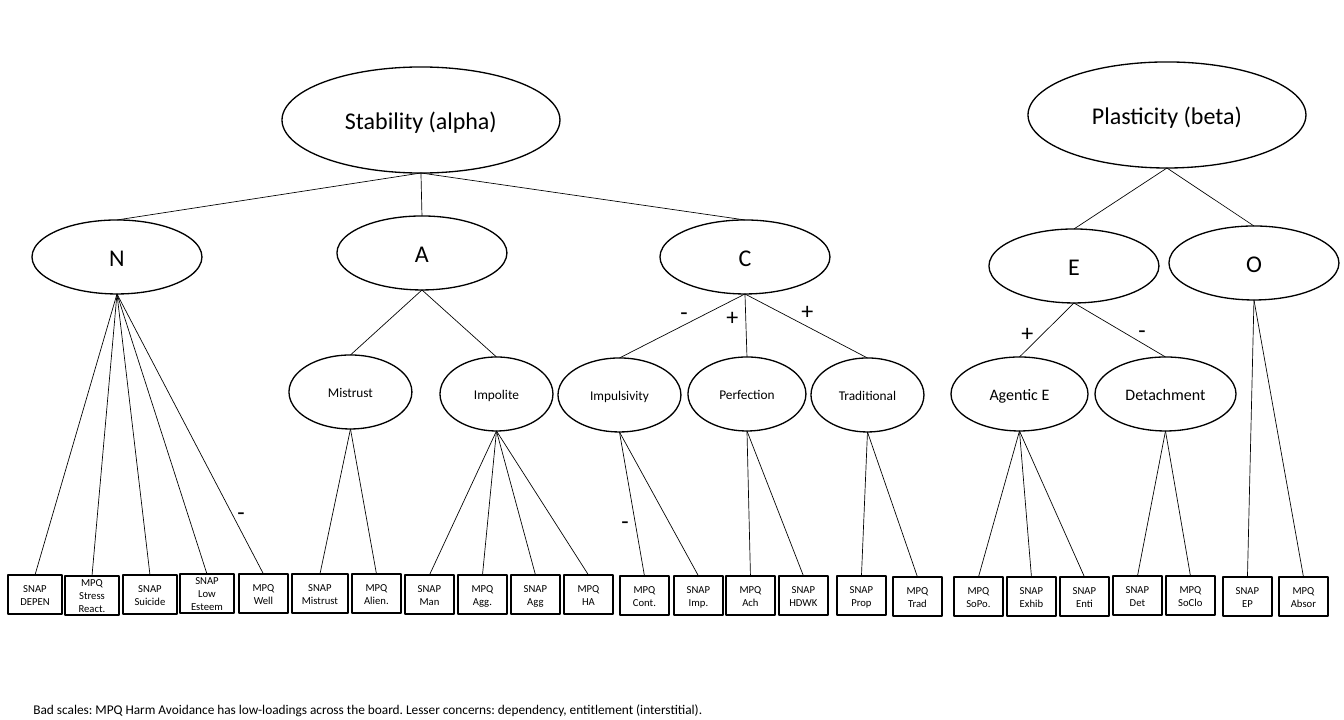
import pptx
import pptx.dml.color
import pptx.enum.shapes
import pptx.enum.text
import pptx.oxml
import pptx.util
from collections import namedtuple

PX = 9525  # EMU per px at 96 px to the inch
BLACK = pptx.dml.color.RGBColor(0, 0, 0)
WHITE = pptx.dml.color.RGBColor(255, 255, 255)
FONT = "Calibri"
OVAL = pptx.enum.shapes.MSO_SHAPE.OVAL
RECTANGLE = pptx.enum.shapes.MSO_SHAPE.RECTANGLE

# left and top are relative to the box of the tree
Node = namedtuple("Node", "label left top width height size children")
Box = namedtuple("Box", "left top")


def scale(label, left, top, width=49):
    return Node(label, left, top, width, 39, 8, ())


def facet(label, left, top, width, size, *children):
    return Node(label, left, top, width, 74, size, children)


def trait(label, left, top, *children):
    return Node(label, left, top, 170, 74, 18, children)


def metatrait(label, left, *children):
    return Node(label, left, 0, 278, 106, 18, children)


STABILITY = metatrait(
    "Stability (alpha)", 274,
    trait("N", 24, 153,
          scale("SNAP DEPEN", 0, 508, 54),
          scale("MPQ Stress React.", 57, 509, 54),
          scale("SNAP Suicide", 115, 508, 54),
          scale("SNAP\nLow Esteem", 172, 507, 54),
          scale("MPQ Well", 231, 507)),
    trait("A", 329, 149,
          facet("Mistrust", 281, 288, 123, 10,
                scale("SNAP Mistrust", 284, 507, 56),
                scale("MPQ Alien.", 344, 507)),
          facet("Impolite", 432, 290, 113, 10,
                scale("SNAP Man", 397, 508),
                scale("MPQ Agg.", 450, 508),
                scale("SNAP Agg", 503, 508),
                scale("MPQ HA", 556, 508))),
    trait("C", 652, 153,
          facet("Impulsivity", 550, 291, 123, 10,
                scale("MPQ Cont.", 612, 509),
                scale("SNAP Imp.", 666, 509)),
          facet("Perfection", 680, 290, 118, 10,
                scale("MPQ Ach", 718, 509),
                scale("SNAP HDWK", 771, 509)),
          facet("Traditional", 803, 291, 113, 10,
                scale("SNAP Prop", 829, 509),
                scale("MPQ Trad", 885, 510))))

PLASTICITY = metatrait(
    "Plasticity (beta)", 77,
    trait("E", 38, 167,
          facet("Agentic E", 0, 295, 137, 12,
                scale("MPQ SoPo.", 3, 515),
                scale("SNAP Exhib", 56, 515),
                scale("SNAP Enti", 109, 515)),
          facet("Detachment", 144, 295, 141, 12,
                scale("SNAP Det", 162, 514),
                scale("MPQ SoClo", 215, 514))),
    trait("O", 218, 164,
          scale("SNAP EP", 272, 515),
          scale("MPQ Absor", 328, 515)))

STABILITY_SIGNS = [("-", 663, 225), ("+", 709, 230), ("+", 784, 224),
                   ("-", 220, 425), ("-", 604, 434)]
PLASTICITY_SIGNS = [("+", 61, 251), ("-", 178, 248)]


def set_text(shape, text, size, alignment):
    shape.text_frame.text = text
    for paragraph in shape.text_frame.paragraphs:
        paragraph.alignment = alignment
        paragraph.font.name = FONT
        paragraph.font.size = pptx.util.Pt(size)
        paragraph.font.color.rgb = BLACK


def add_label(slide, text, left, top, width, height, size):
    label = slide.shapes.add_textbox(left * PX, top * PX, width * PX, height * PX)
    label.text_frame.word_wrap = False
    set_text(label, text, size, pptx.enum.text.PP_ALIGN.LEFT)


def add_node(slide, box, node):
    """Draw a latent factor as an oval, or a measured scale as a rectangle."""
    shape = slide.shapes.add_shape(
        OVAL if node.children else RECTANGLE,
        (box.left + node.left) * PX, (box.top + node.top) * PX,
        node.width * PX, node.height * PX)
    shape.shadow.inherit = False
    shape.fill.solid()
    shape.fill.fore_color.rgb = WHITE
    shape.line.color.rgb = BLACK
    shape.line.width = pptx.util.Pt(1)
    frame = shape.text_frame
    frame.word_wrap = True
    frame.margin_left = frame.margin_right = 8 * PX
    frame.vertical_anchor = pptx.enum.text.MSO_ANCHOR.MIDDLE
    set_text(shape, node.label, node.size, pptx.enum.text.PP_ALIGN.CENTER)
    return shape


def add_path(slide, parent, child):
    """Run a line from the bottom of the parent to the top of the child."""
    connector = slide.shapes.add_connector(
        pptx.enum.shapes.MSO_CONNECTOR.STRAIGHT,
        parent.left + parent.width // 2, parent.top + parent.height,
        child.left + child.width // 2, child.top)
    connector.end_connect(child, 0)
    connector.line.color.rgb = BLACK
    connector.line.width = pptx.util.Pt(0.5)
    properties = connector._element.spPr
    properties.append(pptx.oxml.parse_xml(
        '<a:effectLst xmlns:a="http://schemas.openxmlformats.org/drawingml/2006/main"/>'))


def add_branch(slide, box, node):
    shape = add_node(slide, box, node)
    for child in node.children:
        add_path(slide, shape, add_branch(slide, box, child))
    return shape


def add_tree(slide, box, root, signs):
    """Draw a metatrait with all below it, and the signs of its loadings."""
    add_branch(slide, box, root)
    for sign, left, top in signs:
        width = 27 if sign == "-" else 32
        add_label(slide, sign, box.left + left, box.top + top, width, 38, 18)


def add_footnote(slide, box):
    add_label(slide,
              "Bad scales: MPQ Harm Avoidance has low-loadings across the board. "
              "Lesser concerns: dependency, entitlement (interstitial).",
              box.left, box.top, 699, 26, 10)


def main():
    presentation = pptx.Presentation()
    presentation.slide_width = 1344 * PX
    presentation.slide_height = 720 * PX
    slide = presentation.slides.add_slide(presentation.slide_layouts[6])
    add_tree(slide, Box(8, 67), STABILITY, STABILITY_SIGNS)
    add_tree(slide, Box(951, 62), PLASTICITY, PLASTICITY_SIGNS)
    add_footnote(slide, Box(24, 696))
    presentation.save("out.pptx")


if __name__ == "__main__":
    main()
